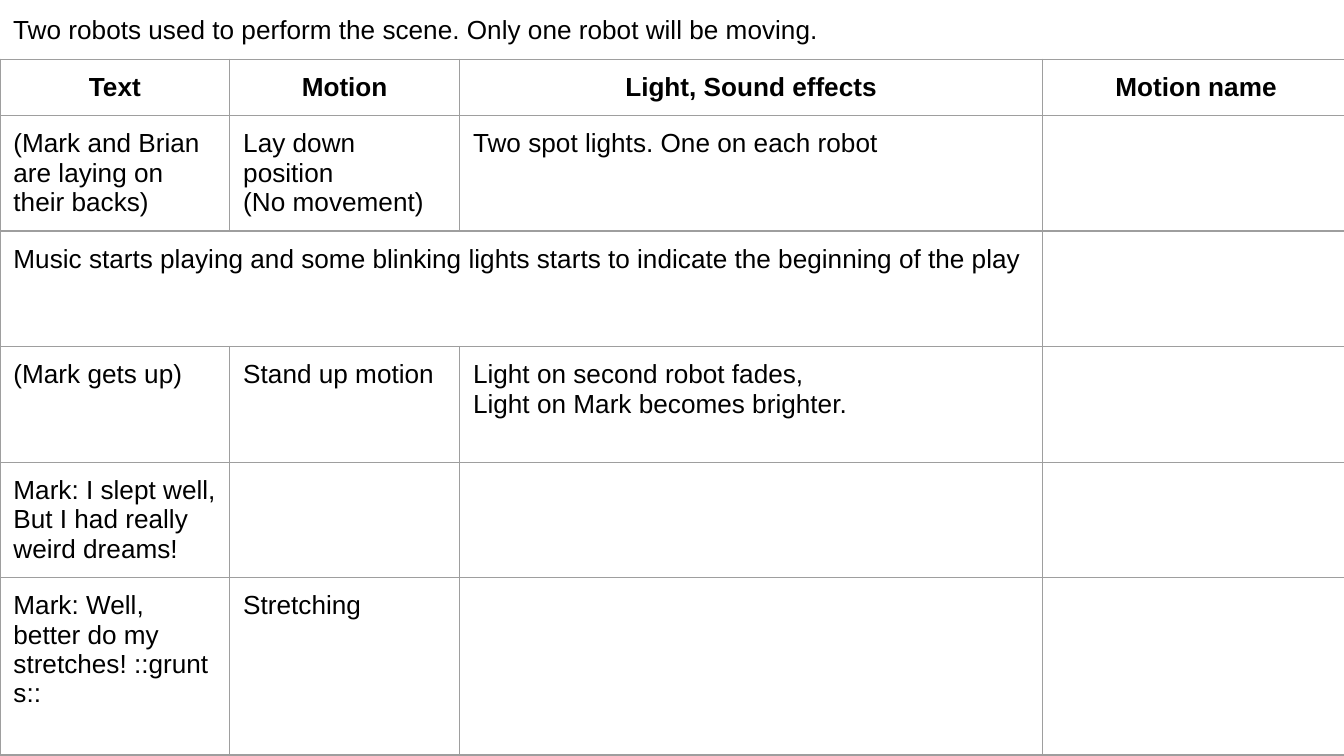
from lxml import etree
from pptx import Presentation
from pptx import util as u
from pptx.dml.color import RGBColor
from pptx.enum import text
from pptx.oxml.ns import qn

INK, GRID, PAPER = "000000", "9E9E9E", "FFFFFF"
MARGINS = {f"margin_{side}": u.Inches(0.1) for side in ("left", "right", "top", "bottom")}
FONT = {"name": "Arial", "size": u.Pt(14)}


def color(hex_string):
    return RGBColor.from_string(hex_string)


def write(frame, lines, bold=False, alignment=text.PP_ALIGN.LEFT):
    for index, line in enumerate(lines.split("\n")):
        paragraph = frame.paragraphs[0] if index == 0 else frame.add_paragraph()
        paragraph.alignment = alignment
        run = paragraph.add_run()
        run.text = line
        for name, value in {**FONT, "bold": bold}.items():
            setattr(run.font, name, value)
        run.font.color.rgb = color(INK)


# Widescreen 16:9 slide
presentation = Presentation()
presentation.slide_width = u.Inches(10)
presentation.slide_height = u.Inches(10 * 9 / 16)
slide = presentation.slides.add_slide(presentation.slide_layouts[6])
slide.background.fill.solid()
slide.background.fill.fore_color.rgb = color(PAPER)

# Scene table; the header row grows to fit its text
columns = [1.71, 1.71, 4.34, 2.28]
heights = [0.11] + [0.86] * 4 + [1.32]
rows = [
    ["Text", "Motion", "Light, Sound effects", "Motion name"],
    ["(Mark and Brian are laying on their backs)", "Lay down position\n(No movement)",
     "Two spot lights. One on each robot", ""],
    ["Music starts playing and some blinking lights starts to indicate the beginning of the play",
     "", "", ""],
    ["(Mark gets up)", "Stand up motion",
     "Light on second robot fades,\nLight on Mark becomes brighter.", ""],
    ["Mark: I slept well, But I had really weird dreams!", "", "", ""],
    ["Mark: Well, better do my stretches! ::grunts::", "Stretching", "", ""],
]
table = slide.shapes.add_table(
    len(rows), len(columns), u.Inches(0), u.Inches(0.44),
    u.Inches(sum(columns)), u.Inches(sum(heights))).table
table.first_row = table.horz_banding = False
for column, width in zip(table.columns, columns):
    column.width = u.Inches(width)
for row, height in zip(table.rows, heights):
    row.height = u.Inches(height)

# Cell text, borders and fill
for row_index, row in enumerate(rows):
    for column_index, content in enumerate(row):
        cell = table.cell(row_index, column_index)
        for name, value in MARGINS.items():
            setattr(cell, name, value)
        if content:
            header = row_index == 0
            write(cell.text_frame, content, bold=header,
                  alignment=text.PP_ALIGN.CENTER if header else text.PP_ALIGN.LEFT)
        properties = cell._tc.get_or_add_tcPr()
        for side in ("lnL", "lnR", "lnT", "lnB"):
            border = etree.SubElement(properties, qn(f"a:{side}"), w=str(u.Pt(0.75)))
            fill = etree.SubElement(border, qn("a:solidFill"))
            etree.SubElement(fill, qn("a:srgbClr"), val=GRID)
        cell.fill.background()

# The music cue spans the first three columns
table.cell(2, 0).merge(table.cell(2, 2))

# Note above the table
note = slide.shapes.add_textbox(u.Inches(0), u.Inches(0), u.Inches(7.14), u.Inches(0.35))
for name, value in {**MARGINS, "word_wrap": True}.items():
    setattr(note.text_frame, name, value)
write(note.text_frame, "Two robots used to perform the scene. Only one robot will be moving.")

presentation.save("out.pptx")
